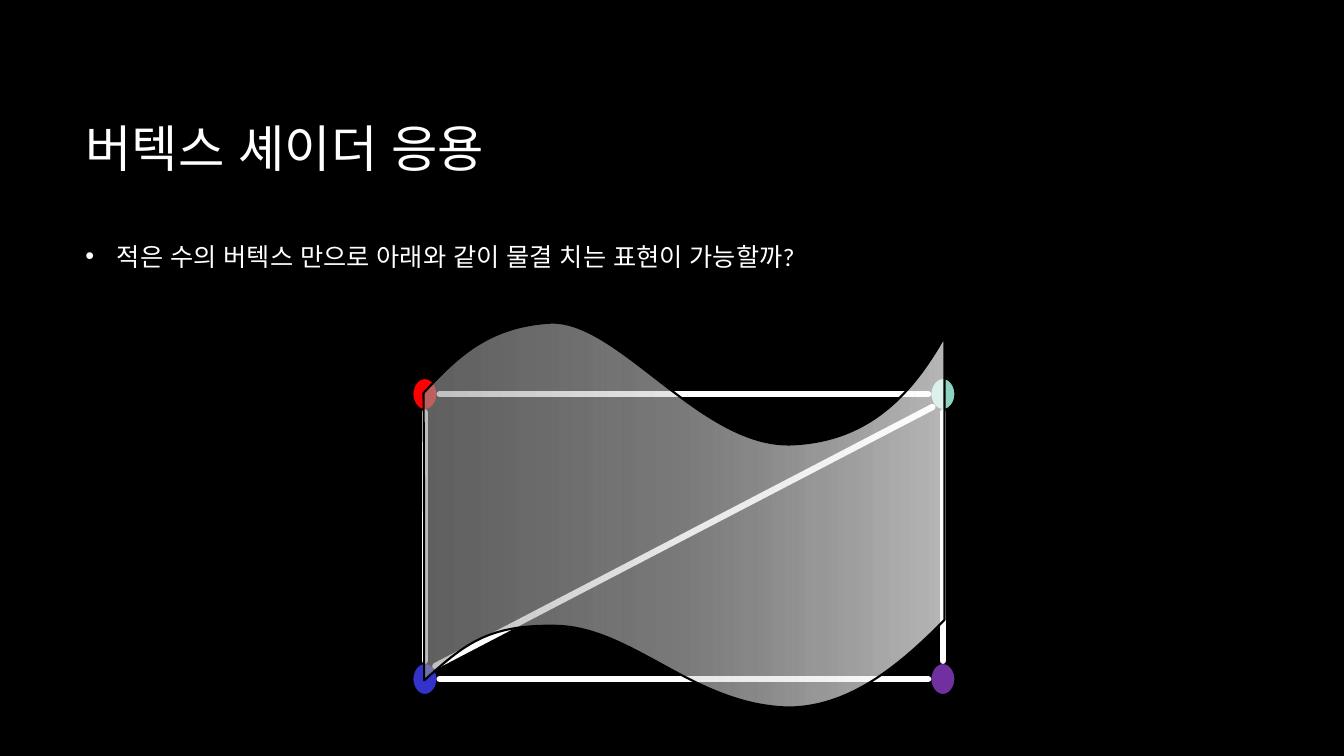
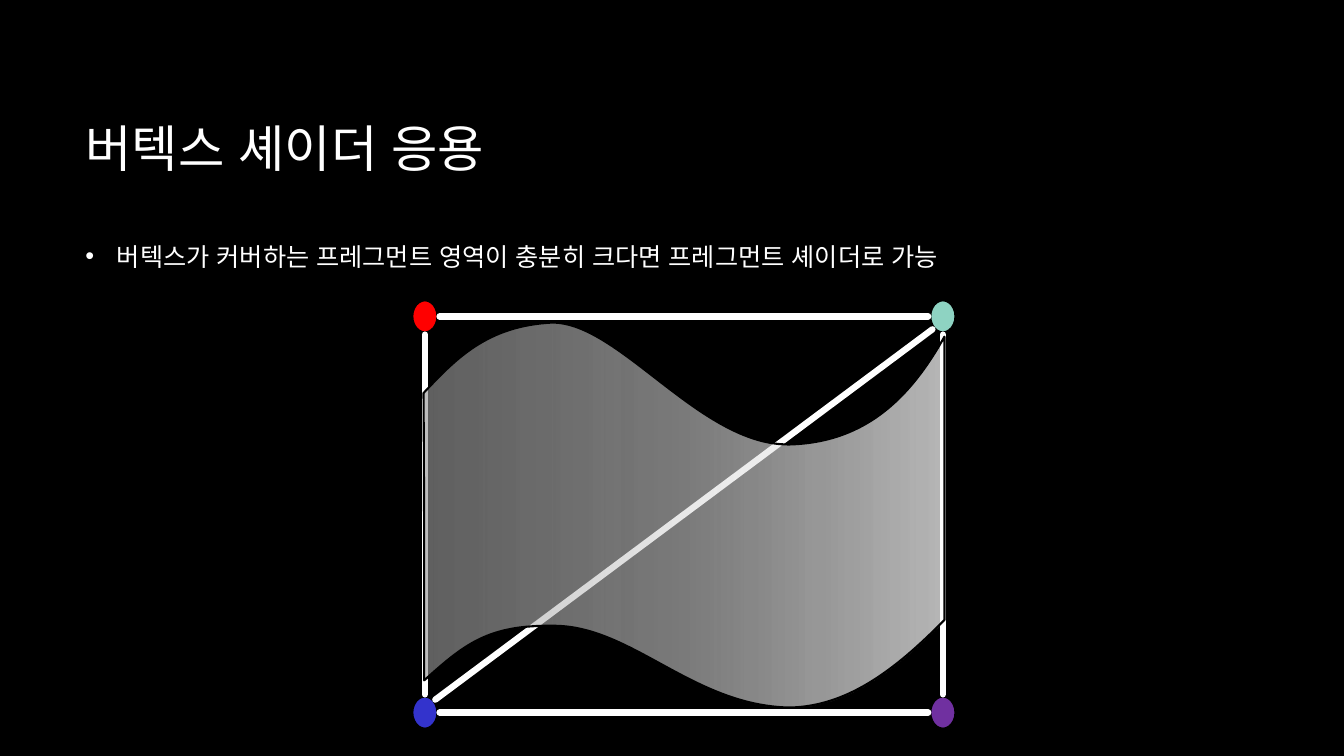
import dataclasses
import typing

import lxml.etree
import pptx
import pptx.dml.color
import pptx.enum.shapes
import pptx.enum.text
import pptx.oxml
import pptx.oxml.ns
import pptx.util

Pt = pptx.util.Pt
Point = tuple[float, float]
Curve = tuple[Point, ...]

COLOURS = {
    "background": "000000",
    "text": "FFFFFF",
    "edge": "FFFFFF",
    "outline": "000000",
    "top_left": "FF0000",
    "bottom_left": "3333CC",
    "top_right": "8ED3C2",
    "bottom_right": "7030A0",
    "wave_dark": "979797",
    "wave_middle": "D7D7D7",
    "wave_light": "FFFFFF",
}
FONT = "Calibri"
KOREAN_FALLBACK = "Arial"
TITLE = "버텍스 셰이더 응용"

# Quad geometry shared by both slides
LEFT_X, RIGHT_X = 303.5, 673.5
RADIUS_X, RADIUS_Y = 10.5, 13
EDGE_WIDTH = 4.5
DIAGONAL = 0.71

# Wave: a curve has two control points and an end point, a side only an end point
WAVE_START = (302.5, 280.8)
WAVE_SEGMENTS: list[Curve] = [
    ((326, 255.6), (348.5, 232.6), (394.6, 230.4)),
    ((442.8, 230.4), (500.4, 318.2), (563.8, 317.5)),
    ((621.4, 316), (652.3, 280), (674.6, 240.5)),
    ((674.6, 442.8),),
    ((638, 480.2), (604, 504.7), (563.8, 505.4)),
    ((494.6, 504), (451.4, 447), (395.3, 447)),
    ((348.5, 446.4), (332, 460), (303, 486)),
    ((303, 417.6), (303, 349.2), WAVE_START),
]
WAVE_STOPS = [(0, "wave_dark", 62), (50, "wave_middle", 56), (100, "wave_light", 71)]


@dataclasses.dataclass(frozen=True)
class TextStyle:
    top: float
    height: float
    size: float
    anchor: pptx.enum.text.MSO_ANCHOR
    space_after: float = 0
    bullet: bool = False


@dataclasses.dataclass(frozen=True)
class QuadSlide:
    statement: str
    top_y: float
    bottom_y: float
    grouped: bool


TITLE_STYLE = TextStyle(48, 114.5, 36, pptx.enum.text.MSO_ANCHOR.MIDDLE)
BODY_STYLE = TextStyle(168.5, 287, 18, pptx.enum.text.MSO_ANCHOR.TOP, 10, True)

SLIDES = [
    QuadSlide("적은 수의 버텍스 만으로 아래와 같이 물결 치는 표현이 가능할까?", 281.5, 485, True),
    QuadSlide("버텍스가 커버하는 프레그먼트 영역이 충분히 크다면 프레그먼트 셰이더로 가능", 226, 509, False),
]


def colour(name: str) -> pptx.dml.color.RGBColor:
    return pptx.dml.color.RGBColor.from_string(COLOURS[name])


def apply_format(target: typing.Any, values: dict[str, typing.Any]) -> None:
    for name, value in values.items():
        setattr(target, name, value)


def child(parent: typing.Any, tag: str, **attributes: str) -> typing.Any:
    return lxml.etree.SubElement(parent, pptx.oxml.ns.qn(tag), **attributes)


def add_text(page: typing.Any, text: str, style: TextStyle) -> None:
    box = page.shapes.add_textbox(Pt(54), Pt(style.top), Pt(798), Pt(style.height))
    apply_format(box.text_frame, {"word_wrap": True, "vertical_anchor": style.anchor})
    para = box.text_frame.paragraphs[0]
    para.space_after = Pt(style.space_after)
    if style.bullet:
        properties = para._p.get_or_add_pPr()
        for name, indent in {"marL": 22.5, "indent": -22.5}.items():
            properties.set(name, str(int(Pt(indent))))
        child(properties, "a:buFont", typeface="Arial")
        child(properties, "a:buChar", char="•")
    span = para.add_run()
    span.text = text
    apply_format(span.font, {"name": FONT, "size": Pt(style.size)})
    span.font.color.rgb = colour("text")
    child(span._r.get_or_add_rPr(), "a:ea", typeface=KOREAN_FALLBACK)


def add_vertex(parent: typing.Any, centre: Point, name: str) -> None:
    x, y = centre
    vertex = parent.shapes.add_shape(
        pptx.enum.shapes.MSO_SHAPE.OVAL,
        Pt(x - RADIUS_X), Pt(y - RADIUS_Y), Pt(2 * RADIUS_X), Pt(2 * RADIUS_Y),
    )
    vertex.shadow.inherit = False
    vertex.fill.solid()
    vertex.fill.fore_color.rgb = colour(name)
    vertex.line.color.rgb = colour("outline")
    vertex.line.width = Pt(EDGE_WIDTH)


def add_edge(parent: typing.Any, start: Point, end: Point) -> None:
    edge = parent.shapes.add_connector(
        pptx.enum.shapes.MSO_CONNECTOR.STRAIGHT, *(Pt(value) for value in start + end)
    )
    edge.line.color.rgb = colour("edge")
    edge.line.width = Pt(EDGE_WIDTH)
    properties = edge._element.spPr
    properties.find(pptx.oxml.ns.qn("a:ln")).set("cap", "rnd")
    child(properties, "a:effectLst")


def add_quad(parent: typing.Any, top_y: float, bottom_y: float) -> None:
    corners = {
        "top_left": (LEFT_X, top_y),
        "bottom_left": (LEFT_X, bottom_y),
        "top_right": (RIGHT_X, top_y),
        "bottom_right": (RIGHT_X, bottom_y),
    }
    for name, centre in corners.items():
        add_vertex(parent, centre, name)
    # Edges run between the rims of the vertices
    for y in (top_y, bottom_y):
        add_edge(parent, (LEFT_X + RADIUS_X, y), (RIGHT_X - RADIUS_X, y))
    for x in (LEFT_X, RIGHT_X):
        add_edge(parent, (x, top_y + RADIUS_Y), (x, bottom_y - RADIUS_Y))
    inset_x, inset_y = DIAGONAL * RADIUS_X, DIAGONAL * RADIUS_Y
    add_edge(
        parent,
        (RIGHT_X - inset_x, top_y + inset_y),
        (LEFT_X + inset_x, bottom_y - inset_y),
    )


def bend_segments(shape: typing.Any, segments: list[Curve]) -> None:
    """Turn the straight segments that have control points into Bezier curves."""
    lines = list(shape._element.iter(pptx.oxml.ns.qn("a:lnTo")))
    for line, segment in zip(lines, segments):
        if len(segment) == 1:
            continue
        curve = line.makeelement(pptx.oxml.ns.qn("a:cubicBezTo"), {})
        for x, y in segment:
            child(curve, "a:pt", x=str(Pt(x) - shape.left), y=str(Pt(y) - shape.top))
        line.getparent().replace(line, curve)


def add_wave(page: typing.Any) -> None:
    builder = page.shapes.build_freeform(Pt(WAVE_START[0]), Pt(WAVE_START[1]))
    ends = [segment[-1] for segment in WAVE_SEGMENTS]
    builder.add_line_segments([(Pt(x), Pt(y)) for x, y in ends], close=True)
    wave = builder.convert_to_shape()
    bend_segments(wave, WAVE_SEGMENTS)
    wave.shadow.inherit = False
    wave.line.color.rgb = colour("outline")
    wave.line.width = Pt(1.5)
    # Translucent gradient from left to right
    wave.fill.gradient()
    wave.fill.gradient_angle = 0
    stops = wave._element.spPr.find(".//" + pptx.oxml.ns.qn("a:gsLst"))
    for stop in list(stops):
        stops.remove(stop)
    for position, name, opacity in WAVE_STOPS:
        stop = child(stops, "a:gs", pos=str(position * 1000))
        tone = child(stop, "a:srgbClr", val=COLOURS[name])
        child(tone, "a:alpha", val=str(opacity * 1000))


def main() -> None:
    deck = pptx.Presentation()
    apply_format(deck, {"slide_width": Pt(960), "slide_height": Pt(540)})
    backdrop = deck.slide_master.background.fill
    backdrop.solid()
    backdrop.fore_color.rgb = colour("background")
    for content in SLIDES:
        page = deck.slides.add_slide(deck.slide_layouts[6])
        add_text(page, TITLE, TITLE_STYLE)
        add_text(page, content.statement, BODY_STYLE)
        parent = page.shapes.add_group_shape() if content.grouped else page
        add_quad(parent, content.top_y, content.bottom_y)
        add_wave(page)
    deck.save("out.pptx")


if __name__ == "__main__":
    main()
